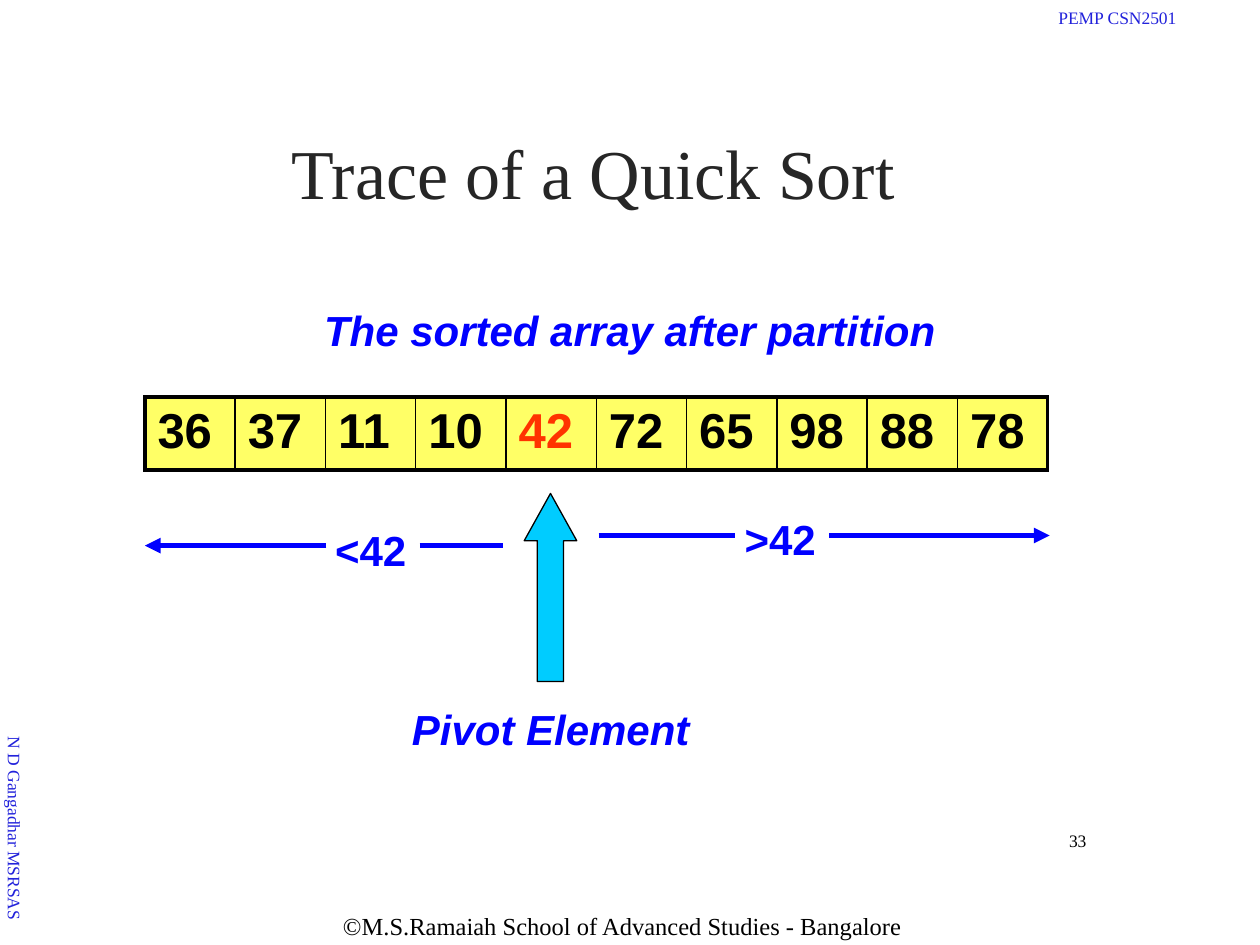
from lxml.etree import SubElement
from pptx import Presentation
from pptx.dml.color import RGBColor
from pptx.enum.shapes import MSO_CONNECTOR, MSO_SHAPE
from pptx.enum.text import MSO_ANCHOR, PP_ALIGN
from pptx.oxml.ns import qn
from pptx.util import Pt


def color(hex_value):
    return RGBColor.from_string(hex_value)


def write_text(frame, text, font_format, margins, align=PP_ALIGN.LEFT, anchor=MSO_ANCHOR.TOP):
    frame.word_wrap = True
    frame.vertical_anchor = anchor
    for side, margin in zip(("left", "top", "right", "bottom"), margins):
        setattr(frame, f"margin_{side}", Pt(margin))
    paragraph = frame.paragraphs[0]
    paragraph.alignment = align
    run = paragraph.add_run()
    run.text = text
    for name, value in font_format.items():
        if name == "color":
            run.font.color.rgb = color(value)
        else:
            setattr(run.font, name, value)


SERIF = {"name": "Times New Roman", "size": Pt(10), "color": "000000"}
HEADER = {**SERIF, "color": "2222DB"}
LABEL = {"name": "Arial", "size": Pt(24), "bold": True, "color": "0000FF"}
CAPTION = {**LABEL, "italic": True}
NUMBER = {**LABEL, "size": Pt(28), "color": "000000"}

presentation = Presentation()
presentation.slide_width, presentation.slide_height = Pt(720), Pt(540)
slide = presentation.slides.add_slide(presentation.slide_layouts[5])

# Title
title = slide.shapes.title
title.left, title.top, title.width, title.height = Pt(161), Pt(68.4), Pt(356), Pt(50)
write_text(title.text_frame, "Trace of a Quick Sort",
           {**SERIF, "size": Pt(40), "color": "262626"}, (0, 5.6, 0, 0), PP_ALIGN.CENTER)

# Header, footer, captions and range labels
texts = [
    ("PEMP CSN2501", 604.8, 2.9, 73, 14, HEADER),
    ("©M.S.Ramaiah School of Advanced Studies - Bangalore", 196, 518.4, 326, 19,
     {**SERIF, "size": Pt(14)}),
    ("The sorted array after partition", 185.2, 170.6, 354, 31, CAPTION),
    ("Pivot Element", 235.4, 398.9, 164, 31, CAPTION),
    ("<42", 191.5, 296.6, 44, 31, LABEL),
    (">42", 425.5, 290.2, 44, 31, LABEL),
]
for text, left, top, width, height, font_format in texts:
    box = slide.shapes.add_textbox(Pt(left), Pt(top), Pt(width), Pt(height))
    top_margin = 0.14 * font_format["size"].pt
    write_text(box.text_frame, text, font_format, (0, top_margin, 0, 0))

# Author, running down the left edge
author = slide.shapes.add_textbox(Pt(1.5), Pt(421), Pt(13), Pt(108))
write_text(author.text_frame, "N D Gangadhar MSRSAS", HEADER, (0, 0, 0, 0))
author.text_frame._txBody.bodyPr.set("vert", "vert")

# Slide number
page = slide.shapes.add_textbox(Pt(596.9), Pt(469.4), Pt(31), Pt(22.3))
write_text(page.text_frame, "33", SERIF, (0, 3.6, 7.2, 3.6), PP_ALIGN.RIGHT, MSO_ANCHOR.MIDDLE)

# Array after the partition
values = [36, 37, 11, 10, 42, 72, 65, 98, 88, 78]
pivot = 42
column_width = 51.6
table = slide.shapes.add_table(1, len(values), Pt(82.8), Pt(226.8),
                               Pt(column_width * len(values)), Pt(41.8)).table
table.first_row = table.horz_banding = False
for index, value in enumerate(values):
    table.columns[index].width = Pt(column_width)
    cell = table.cell(0, index)
    number_color = "FF3300" if value == pivot else "000000"
    write_text(cell.text_frame, str(value), {**NUMBER, "color": number_color}, (0, 0, 0, 0))
    cell.margin_left, cell.margin_top = Pt(7.2), Pt(4)
    cell.margin_right = cell.margin_bottom = 0
    properties = cell._tc.get_or_add_tcPr()
    borders = {
        "a:lnL": 2.25 if index == 0 else 1,
        "a:lnR": 2.25 if index == len(values) - 1 else 1,
        "a:lnT": 2.25,
        "a:lnB": 2.25,
    }
    for tag, width in borders.items():
        line = SubElement(properties, qn(tag), w=str(Pt(width)))
        SubElement(SubElement(line, qn("a:solidFill")), qn("a:srgbClr"), val="000000")
    cell.fill.solid()
    cell.fill.fore_color.rgb = color("FFFF66")

# Range lines on both sides of the pivot: start, end, height, arrowhead at end
ranges = [
    (186.5, 82.8, 311.8, True),
    (239.8, 287.3, 311.8, False),
    (342, 419.8, 306, False),
    (473.8, 599.8, 306, True),
]
for start, end, y, has_arrow in ranges:
    connector = slide.shapes.add_connector(MSO_CONNECTOR.STRAIGHT, Pt(start), Pt(y), Pt(end), Pt(y))
    connector.line.color.rgb = color("0000FF")
    connector.line.width = Pt(3)
    if has_arrow:
        SubElement(connector.line._get_or_add_ln(), qn("a:tailEnd"), type="triangle")
    SubElement(connector._element.spPr, qn("a:effectLst"))

# Arrow pointing at the pivot
arrow = slide.shapes.add_shape(MSO_SHAPE.UP_ARROW, Pt(299.6), Pt(282), Pt(30), Pt(107.5))
arrow.adjustments[0], arrow.adjustments[1] = 0.5, 0.9
arrow.shadow.inherit = False
arrow.fill.solid()
arrow.fill.fore_color.rgb = color("00CCFF")
arrow.line.color.rgb = color("000000")
arrow.line.width = Pt(0.75)

presentation.save("out.pptx")
